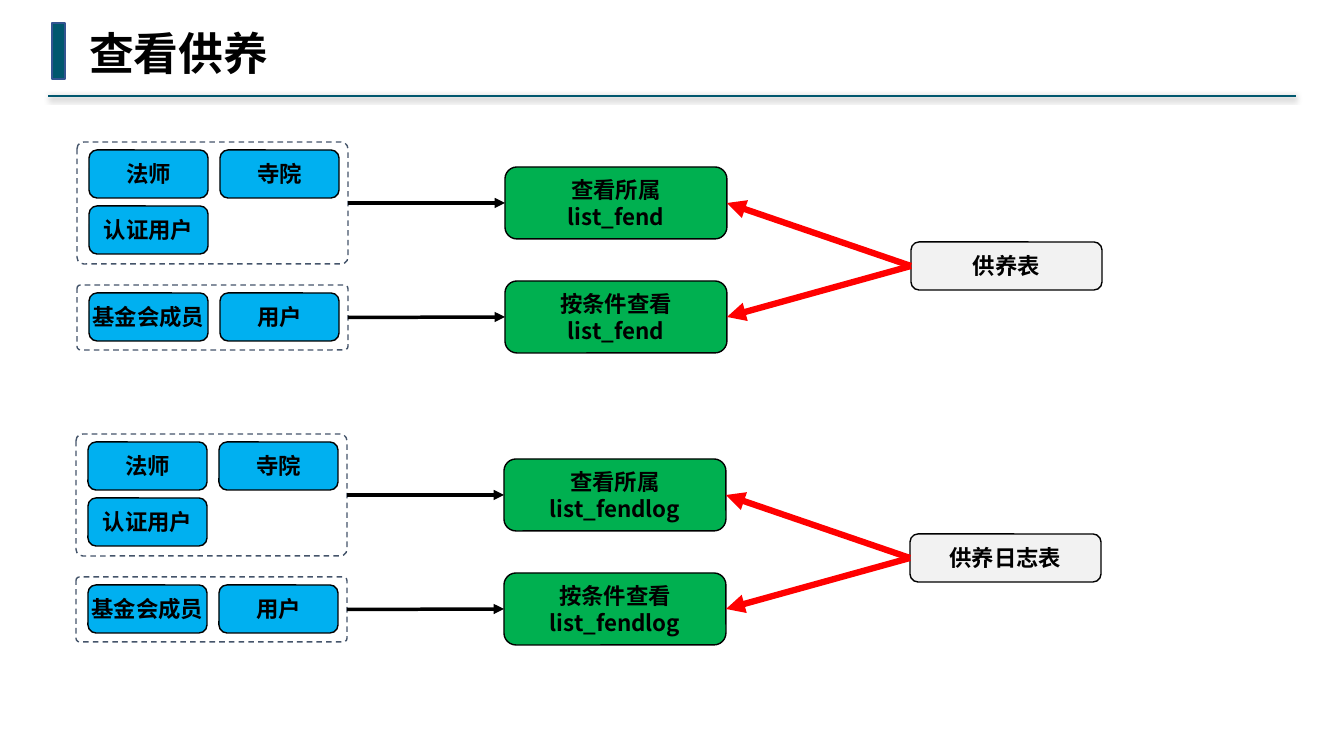
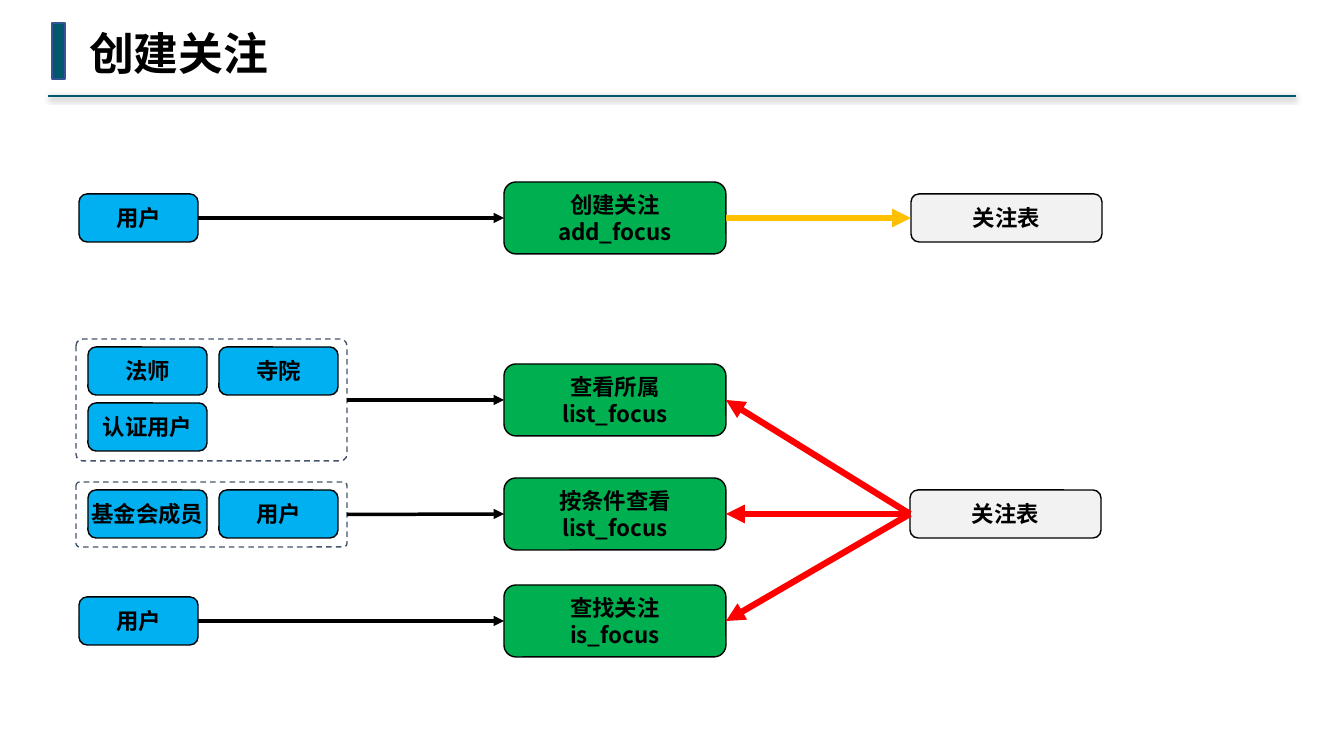
from dataclasses import dataclass
from lxml.etree import SubElement
from pptx import Presentation
from pptx.dml.color import RGBColor
from pptx.enum.dml import MSO_LINE
from pptx.enum.shapes import MSO_CONNECTOR, MSO_SHAPE
from pptx.enum.text import MSO_ANCHOR, MSO_AUTO_SIZE, PP_ALIGN
from pptx.oxml.ns import qn
from pptx.util import Pt

SCALE = 914400 / 100.8
LEFT, RIGHT = 1, 3


def px(*sizes):
    return [round(size * SCALE) for size in sizes]


@dataclass(frozen=True)
class Theme:
    teal: str = "00576E"
    edge: str = "325491"
    role: str = "00B0F0"
    call: str = "00B050"
    table: str = "F2F2F2"
    frame: str = "44546A"
    ink: str = "000000"
    red: str = "FF0000"
    gold: str = "FFC000"
    font: str = "Noto Sans CJK SC"
    head: str = "Noto Sans Mono"
    big: int = 32
    text: int = 16
    lead: float = 1.2
    thin: float = 1
    rule: float = 1.5
    flow: float = 2.5
    bold: float = 4.5


@dataclass
class Deck:
    theme: Theme
    show: object
    slide: object = None

    def page(self, title):
        theme = self.theme
        self.slide = self.show.slides.add_slide(self.show.slide_layouts[5])
        self.rule(1296, 48, 96)
        self.shape(MSO_SHAPE.RECTANGLE, (52, 23, 13, 56), theme.teal, theme.edge)
        head = self.slide.shapes.title
        head.left, head.top, head.width, head.height = px(79, 20, 202, 65)
        frame = head.text_frame
        frame.word_wrap = False
        frame.auto_size = MSO_AUTO_SIZE.NONE
        frame.vertical_anchor = MSO_ANCHOR.MIDDLE
        self.label(frame.paragraphs[0], title, theme.big, theme.head, PP_ALIGN.LEFT)

    def label(self, para, text, size, font, align):
        para.alignment = align
        para.line_spacing = Pt(size * self.theme.lead)
        para.space_before = Pt(0)
        run = para.add_run()
        run.text = text
        run.font.size = Pt(size)
        run.font.bold = True
        run.font.name = font
        run.font.color.rgb = RGBColor.from_string(self.theme.ink)
        SubElement(run.font._element, qn("a:ea"), typeface=self.theme.font)

    def stroke(self, item, color, width):
        item.line.color.rgb = RGBColor.from_string(color)
        item.line.width = Pt(width)

    def shape(self, kind, area, fill, edge, home=None):
        item = (home or self.slide).shapes.add_shape(kind, *px(*area))
        item.shadow.inherit = False
        if fill:
            item.fill.solid()
            item.fill.fore_color.rgb = RGBColor.from_string(fill)
        else:
            item.fill.background()
        self.stroke(item, edge, self.theme.thin)
        return item

    def box(self, area, fill, lines, home=None):
        theme = self.theme
        item = self.shape(MSO_SHAPE.ROUNDED_RECTANGLE, area, fill, theme.ink, home)
        frame = item.text_frame
        frame.word_wrap = False
        frame.vertical_anchor = MSO_ANCHOR.MIDDLE
        frame.margin_left, frame.margin_top = px(4, 4)
        frame.margin_right, frame.margin_bottom = px(4, 4)
        for row, line in enumerate(lines):
            para = frame.add_paragraph() if row else frame.paragraphs[0]
            self.label(para, line, theme.text, theme.font, PP_ALIGN.CENTER)
        return item

    def role(self, x, y, name, home=None):
        return self.box((x, y, 119, 48), self.theme.role, [name], home)

    def call(self, x, y, *lines):
        return self.box((x, y, 222, 72), self.theme.call, lines)

    def table(self, x, y, name):
        return self.box((x, y, 191, 48), self.theme.table, [name])

    def group(self, x, y, high, names):
        home = self.slide.shapes.add_group_shape()
        for spot, name in enumerate(names):
            row, col = divmod(spot, 2)
            self.role(x + 12 + 131 * col, y + 8 + 56 * row, name, home)
        item = self.shape(MSO_SHAPE.ROUNDED_RECTANGLE, (x, y, 271, high),
                          None, self.theme.frame, home)
        item.adjustments[0] = 0.055
        item.line.dash_style = MSO_LINE.DASH
        return item

    def line(self, color, width, ends=(0, 0, 0, 0)):
        item = self.slide.shapes.add_connector(MSO_CONNECTOR.STRAIGHT, *px(*ends))
        self.stroke(item, color, width)
        return item, SubElement(item._element.spPr, qn("a:effectLst"))

    def rule(self, start, end, y):
        item, effect = self.line(self.theme.teal, self.theme.rule, (start, y, end, y))
        shade = SubElement(effect, qn("a:outerShdw"), blurRad=str(Pt(4)),
                           dist=str(Pt(1)), dir="5400000", rotWithShape="0")
        color = SubElement(shade, qn("a:srgbClr"), val=self.theme.ink)
        SubElement(color, qn("a:alpha"), val="40000")

    def link(self, start, end, color, width, sides=(RIGHT, LEFT)):
        item, effect = self.line(color, width)
        item.begin_connect(start, sides[0])
        item.end_connect(end, sides[1])
        SubElement(item._element.spPr.get_or_add_ln(), qn("a:tailEnd"), type="triangle")

    def flow(self, start, end):
        self.link(start, end, self.theme.ink, self.theme.flow)

    def fetch(self, table, call):
        self.link(table, call, self.theme.red, self.theme.bold, (LEFT, RIGHT))

    def views(self, x, y, name, drop, func):
        table = self.table(x + 834, y + drop, name)
        rows = [
            (0, 122, 25, "查看所属", ["法师", "寺院", "认证用户"]),
            (143, 65, 139, "按条件查看", ["基金会成员", "用户"]),
        ]
        for top, high, shift, label, names in rows:
            roles = self.group(x, y + top, high, names)
            call = self.call(x + 428, y + shift, label, func)
            self.flow(roles, call)
            self.fetch(table, call)
        return table

    def user(self, y, label, func):
        role = self.role(79, y + 12, "用户")
        call = self.call(504, y, label, func)
        self.flow(role, call)
        return call


show = Presentation()
show.slide_width, show.slide_height = px(1344, 756)
deck = Deck(Theme(), show)

deck.page("查看供养")
deck.views(77, 142, "供养表", 100, "list_fend")
deck.views(76, 434, "供养日志表", 100, "list_fendlog")

deck.page("创建关注")
made = deck.user(182, "创建关注", "add_focus")
store = deck.table(911, 194, "关注表")
deck.link(made, store, deck.theme.gold, deck.theme.bold)
focus = deck.views(76, 339, "关注表", 151, "list_focus")
deck.fetch(focus, deck.user(585, "查找关注", "is_focus"))

show.save("out.pptx")
